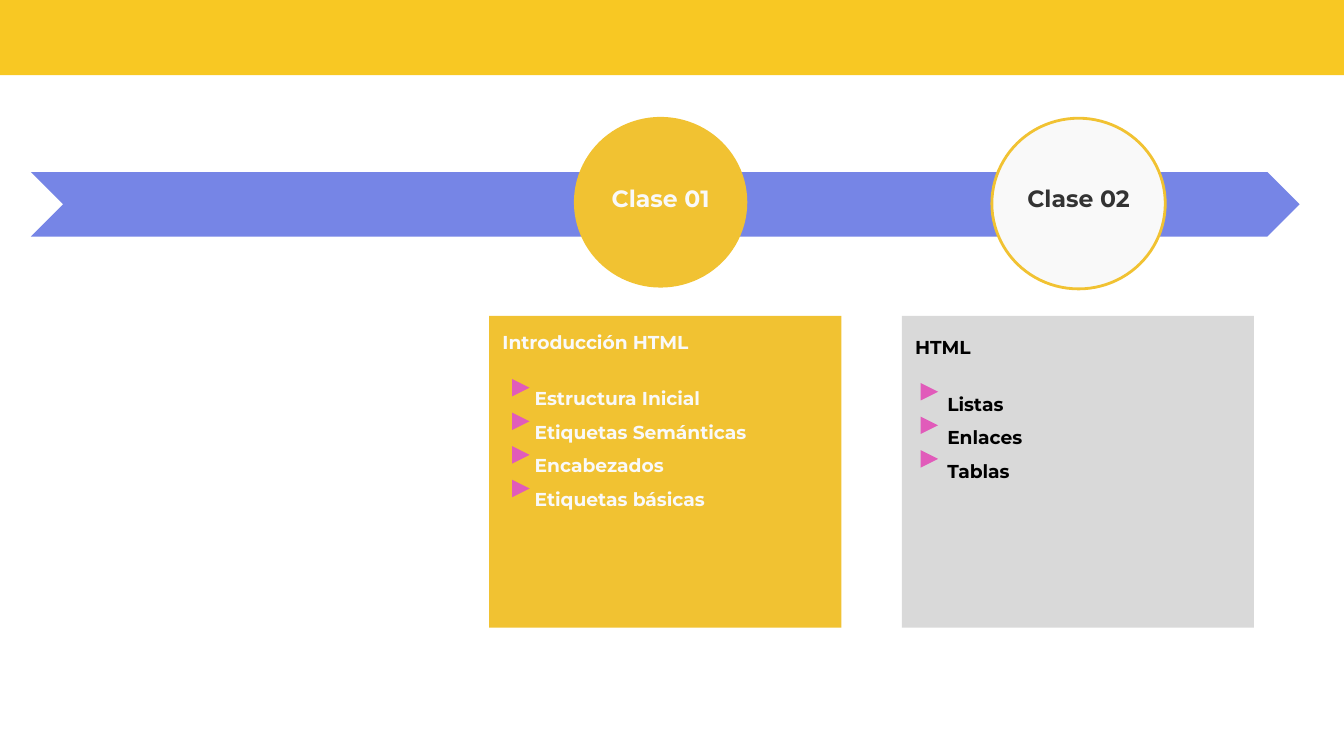
from pptx import Presentation
from pptx.dml.color import RGBColor
from pptx.enum.shapes import MSO_SHAPE
from pptx.enum.text import MSO_ANCHOR, PP_ALIGN
from pptx.util import Inches, Pt

RECT, OVAL = MSO_SHAPE.RECTANGLE, MSO_SHAPE.OVAL
ARROW, MARK = MSO_SHAPE.CHEVRON, MSO_SHAPE.ISOSCELES_TRIANGLE
TOP, LEFT, CENTER = MSO_ANCHOR.TOP, PP_ALIGN.LEFT, PP_ALIGN.CENTER

FONT = "Montserrat"
COLORS = {
    "band": "F8C823", "blue": "7685E6", "gold": "F1C232", "gray": "D9D9D9",
    "pale": "F9F9F9", "dark": "333333", "black": "000000", "pink": "E15BBA",
}

CLASSES = [
    {
        "name": "Clase 01", "title": "Introducción HTML",
        "items": ["Estructura Inicial", "Etiquetas Semánticas",
                  "Encabezados", "Etiquetas básicas"],
        "disc": (4.27, 0.87), "disc_fill": "gold", "name_color": "pale",
        "card_x": 3.64, "card_fill": "gold", "text_color": "pale",
        "text_y": 2.36, "mark": (3.81, 2.82),
    },
    {
        "name": "Clase 02", "title": "HTML",
        "items": ["Listas", "Enlaces", "Tablas"],
        "disc": (7.38, 0.88), "disc_fill": "pale", "name_color": "dark",
        "card_x": 6.71, "card_fill": "gray", "text_color": "black",
        "text_y": 2.4, "mark": (6.85, 2.85),
    },
]

DISC_W, DISC_H = 1.29, 1.27
NAME_Y, NAME_W, NAME_H = 1.27, 1, 0.33
CARD_Y, CARD_W, CARD_H = 2.35, 2.62, 2.32
MARK_SIZE, STEP = 0.13, 0.25
INDENT = 0.24

deck = Presentation()
deck.slide_width = Inches(10)
deck.slide_height = Inches(10 * 9 / 16)
slide = deck.slides.add_slide(deck.slide_layouts[6])


def color(key):
    return RGBColor.from_string(COLORS[key])


def add_shape(kind, x, y, w, h, fill, line=None):
    shape = slide.shapes.add_shape(kind, Inches(x), Inches(y), Inches(w), Inches(h))
    shape.shadow.inherit = False
    shape.fill.solid()
    shape.fill.fore_color.rgb = color(fill)
    if line:
        shape.line.color.rgb = color(line)
        shape.line.width = Pt(1.5)
    else:
        shape.line.fill.background()
    return shape


def add_box(x, y, w, h):
    box = slide.shapes.add_textbox(Inches(x), Inches(y), Inches(w), Inches(h))
    frame = box.text_frame
    frame.word_wrap = True
    frame.vertical_anchor = TOP
    frame.margin_left = frame.margin_right = Inches(0.1)
    frame.margin_top = frame.margin_bottom = Inches(0.1)
    return frame


def add_run(para, text, size, fill, align=LEFT):
    para.alignment = align
    run = para.add_run()
    run.text = text
    run.font.name = FONT
    run.font.size = Pt(size)
    run.font.bold = True
    run.font.color.rgb = color(fill)


add_shape(ARROW, 0.23, 1.28, 9.44, 0.48, "blue")
add_shape(RECT, -0.01, -0.05, 10.03, 0.61, "band")

for item in CLASSES:
    x, y = item["disc"]
    edge = "gold" if item["disc_fill"] == "pale" else None
    add_shape(OVAL, x, y, DISC_W, DISC_H, item["disc_fill"], edge)
    label = add_box(x + (DISC_W - NAME_W) / 2, NAME_Y, NAME_W, NAME_H)
    add_run(label.paragraphs[0], item["name"], 12.6, item["name_color"], CENTER)

    add_shape(RECT, item["card_x"], CARD_Y, CARD_W, CARD_H, item["card_fill"])
    body = add_box(item["card_x"], item["text_y"], CARD_W,
                   CARD_Y + CARD_H - item["text_y"])
    add_run(body.paragraphs[0], item["title"], 10, item["text_color"])

    left, top = item["mark"]
    for i, topic in enumerate(item["items"]):
        para = body.add_paragraph()
        para.line_spacing = 1.5
        para.space_before = Pt(0 if i else 12.2)
        para._p.get_or_add_pPr().set("marL", str(Inches(INDENT)))
        add_run(para, topic, 10, item["text_color"])
        mark = add_shape(MARK, left, top + i * STEP, MARK_SIZE, MARK_SIZE, "pink")
        mark.rotation = 90

deck.save("out.pptx")
